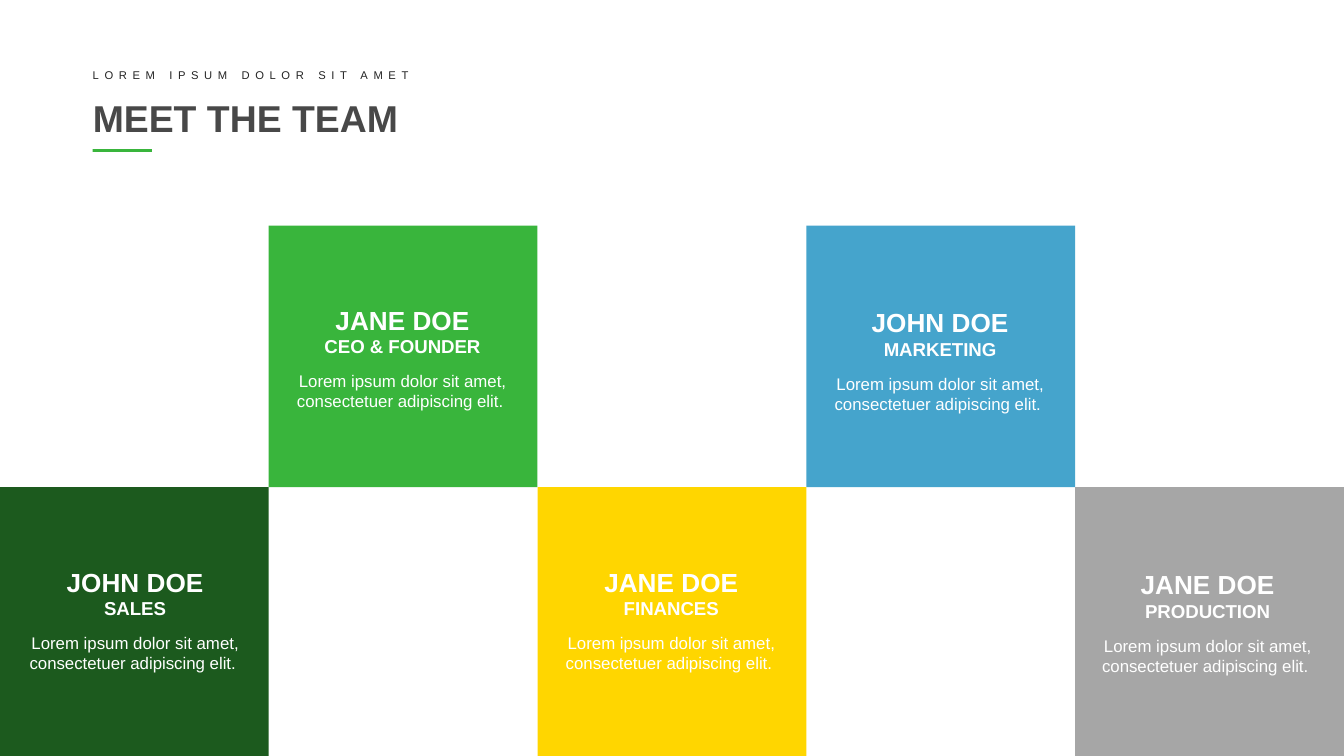
from pptx import Presentation
from pptx.dml.color import RGBColor
from pptx.enum.shapes import MSO_SHAPE
from pptx.enum.text import MSO_ANCHOR, MSO_AUTO_SIZE, PP_ALIGN
from pptx.util import Inches, Pt

RECTANGLE = MSO_SHAPE.RECTANGLE
MIDDLE = MSO_ANCHOR.MIDDLE
NO_AUTOSIZE = MSO_AUTO_SIZE.NONE
LEFT, CENTER = PP_ALIGN.LEFT, PP_ALIGN.CENTER
TITLE_ONLY = 5

WIDTH = 10
HEIGHT = WIDTH * 9 / 16
COLUMN = WIDTH / 5
LOWER_ROW = HEIGHT - COLUMN
UPPER_ROW = 1.68
MARGIN = 0.69
BIO = "Lorem ipsum dolor sit amet, consectetuer adipiscing elit. "

team = [
    (3, UPPER_ROW, "45A4CC", "JOHN DOE", "MARKETING", 0.06, 2.22),
    (1, UPPER_ROW, "39B53C", "JANE DOE", "CEO & FOUNDER", 0.06, 2.2),
    (0, LOWER_ROW, "1C5A1E", "JOHN DOE", "SALES", 0.07, 4.15),
    (2, LOWER_ROW, "FFD600", "JANE DOE", "FINANCES", 0.06, 4.15),
    (4, LOWER_ROW, "A6A6A6", "JANE DOE", "PRODUCTION", 0.05, 4.17),
]


def add_block(left, top, width, height, color):
    block = slide.shapes.add_shape(
        RECTANGLE, Inches(left), Inches(top), Inches(width), Inches(height))
    block.shadow.inherit = False
    block.fill.solid()
    block.fill.fore_color.rgb = RGBColor.from_string(color)
    block.line.fill.background()


def write_lines(holder, lines, color, align, inset):
    frame = holder.text_frame
    frame.word_wrap = True
    frame.auto_size = NO_AUTOSIZE
    frame.vertical_anchor = MIDDLE
    frame.margin_left = frame.margin_right = Inches(inset)
    frame.margin_top = frame.margin_bottom = Inches(inset)
    for index, (text, size, bold, gap) in enumerate(lines):
        paragraph = frame.add_paragraph() if index else frame.paragraphs[0]
        paragraph.alignment = align
        paragraph.space_before = Pt(gap)
        run = paragraph.add_run()
        run.text = text
        run.font.name = "Arial"
        run.font.size = Pt(size)
        run.font.bold = bold
        run.font.color.rgb = RGBColor.from_string(color)
    return run


deck = Presentation()
deck.slide_width, deck.slide_height = Inches(WIDTH), Inches(HEIGHT)
slide = deck.slides.add_slide(deck.slide_layouts[TITLE_ONLY])

title = slide.shapes.title
title.left, title.top = Inches(MARGIN), Inches(0.69)
title.width, title.height = Inches(WIDTH - 2 * MARGIN), Inches(0.37)
write_lines(title, [("MEET THE TEAM", 20, True, 0)], "484848", LEFT, 0)

tagline = slide.shapes.add_textbox(
    Inches(MARGIN), Inches(0.51), Inches(7.17), Inches(0.1))
tagline_run = write_lines(
    tagline, [("LOREM IPSUM DOLOR SIT AMET", 6, False, 0)], "242424", LEFT, 0)
tagline_run.font._element.set("spc", "300")

add_block(MARGIN, 1.11, 0.44, 0.02, "39B53C")

for column, top, color, person, role, indent, text_top in team:
    left = column * COLUMN
    height = COLUMN if top == LOWER_ROW else LOWER_ROW - UPPER_ROW
    add_block(left, top, COLUMN, height, color)
    profile = slide.shapes.add_textbox(
        Inches(left + indent), Inches(text_top), Inches(1.87), Inches(0.92))
    write_lines(
        profile,
        [(person, 14, True, 0), (role, 10, True, 0), (BIO, 9, False, 7)],
        "FFFFFF", CENTER, 0.06)

deck.save("out.pptx")
